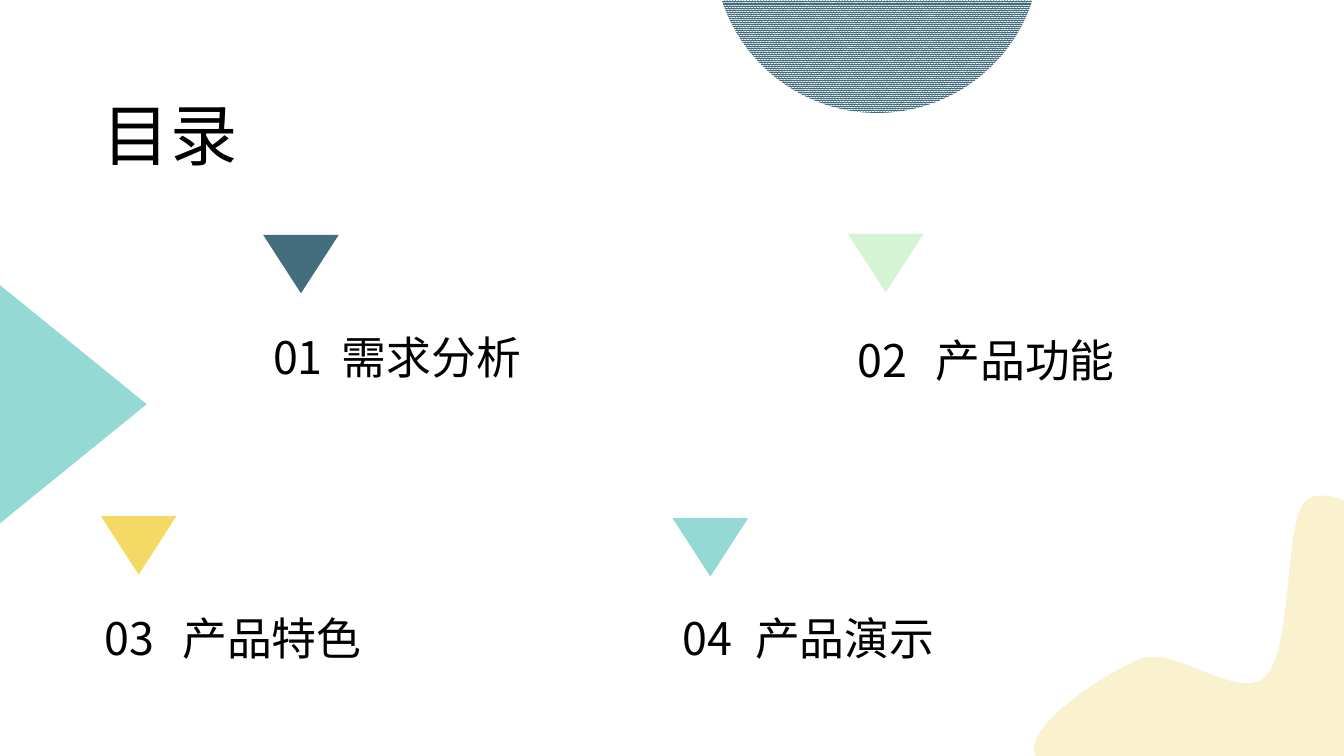
from dataclasses import dataclass

from lxml import etree
from pptx import Presentation
from pptx import util as u
from pptx.dml.color import RGBColor
from pptx.enum import dml, shapes, text
from pptx.oxml.ns import qn


@dataclass(frozen=True)
class Theme:
    font: str = "Noto Sans CJK SC"
    title_size: int = 48
    entry_size: int = 32
    ink: str = "000000"
    paper: str = "FFFFFF"
    slate: str = "446E7E"
    mint: str = "D5F4D3"
    yellow: str = "F4D964"
    teal: str = "94D9D4"
    cream: str = "FAF1CE"


THEME = Theme()

# Number, label, colour, marker (left, top), number (left, top), label left
ENTRIES = [
    ("01", "需求分析", THEME.slate, (2.61, 2.33), (2.61, 3.22), 3.29),
    ("02", "产品功能", THEME.mint, (8.41, 2.32), (8.41, 3.25), 9.18),
    ("03", "产品特色", THEME.yellow, (1.0, 5.12), (0.94, 6.01), 1.71),
    ("04", "产品演示", THEME.teal, (6.67, 5.14), (6.67, 6.01), 7.39),
]

# Blob outline: a start point, then three points (control, control, end) a curve
BLOB_START = (10.35, 7.59)
BLOB_CURVES = [
    (9.94, 7.33), (10.94, 6.69), (11.3, 6.54),
    (11.67, 6.4), (12.28, 6.97), (12.55, 6.71),
    (12.83, 6.45), (12.73, 5.14), (12.96, 4.96),
    (13.19, 4.79), (13.81, 5.14), (13.94, 5.66),
    (14.07, 6.19), (14.34, 7.77), (13.74, 8.1),
    (13.14, 8.42), (10.75, 7.85), (10.35, 7.59),
]


def color(value):
    return RGBColor.from_string(value)


def inches(*lengths):
    return [u.Inches(length) for length in lengths]


def write(box, words, size):
    """Fill a title or text box with one left-aligned line."""
    frame = box.text_frame
    frame.text = words
    frame.word_wrap = True
    frame.vertical_anchor = text.MSO_ANCHOR.TOP
    frame.auto_size = text.MSO_AUTO_SIZE.SHAPE_TO_FIT_TEXT
    para = frame.paragraphs[0]
    para.alignment = text.PP_ALIGN.LEFT
    para.font.size = u.Pt(size)
    para.font.name = THEME.font
    para.font.color.rgb = color(THEME.ink)
    # East Asian typeface
    defaults = para._p.pPr.find(qn("a:defRPr"))
    etree.SubElement(defaults, qn("a:ea")).set("typeface", THEME.font)


def add_title(page, words):
    title = page.shapes.title
    title.left, title.top, title.width, title.height = inches(0.92, 0.88, 3.93, 0.91)
    write(title, words, THEME.title_size)


def add_label(page, words, left, top, width):
    box = page.shapes.add_textbox(*inches(left, top, width, 0.64))
    write(box, words, THEME.entry_size)


def paint(shape, fill):
    shape.shadow.inherit = False
    shape.line.fill.background()
    shape.fill.solid()
    shape.fill.fore_color.rgb = color(fill)


def add_triangle(page, left, top, width, height, rotation, fill):
    triangle = page.shapes.add_shape(
        shapes.MSO_SHAPE.ISOSCELES_TRIANGLE, *inches(left, top, width, height))
    triangle.rotation = rotation
    paint(triangle, fill)


def add_entry(page, number, label, fill, marker, number_at, label_left):
    add_triangle(page, *marker, 0.75, 0.58, 180, fill)
    add_label(page, number, *number_at, 0.83)
    add_label(page, label, label_left, number_at[1], 3.43)


def add_blob(page):
    builder = page.shapes.build_freeform(*inches(*BLOB_START))
    builder.add_line_segments([inches(*point) for point in BLOB_CURVES], close=True)
    blob = builder.convert_to_shape()
    paint(blob, THEME.cream)
    # Join every three line segments into one Bezier curve
    segments = list(blob._element.iter(qn("a:lnTo")))
    for first in range(0, len(segments), 3):
        curve = etree.Element(qn("a:cubicBezTo"))
        segments[first].addprevious(curve)
        for segment in segments[first:first + 3]:
            curve.append(segment[0])
            segment.getparent().remove(segment)


def add_patterned_circle(page, left, top, size):
    circle = page.shapes.add_shape(
        shapes.MSO_SHAPE.OVAL, *inches(left, top, size, size))
    circle.shadow.inherit = False
    circle.line.fill.background()
    circle.fill.patterned()
    circle.fill.pattern = dml.MSO_PATTERN.PERCENT_90
    circle.fill.fore_color.rgb = color(THEME.slate)
    circle.fill.back_color.rgb = color(THEME.paper)


def main():
    deck = Presentation()
    deck.slide_width, deck.slide_height = inches(13.33, 7.5)
    page = deck.slides.add_slide(deck.slide_layouts[5])

    # Contents
    add_title(page, "目录")
    for entry in ENTRIES:
        add_entry(page, *entry)

    # Decoration at the slide's edges
    add_blob(page)
    add_patterned_circle(page, 7.08, -2.12, 3.24)
    add_triangle(page, -0.46, 3.28, 2.37, 1.46, 90, THEME.teal)

    deck.save("out.pptx")


if __name__ == "__main__":
    main()
